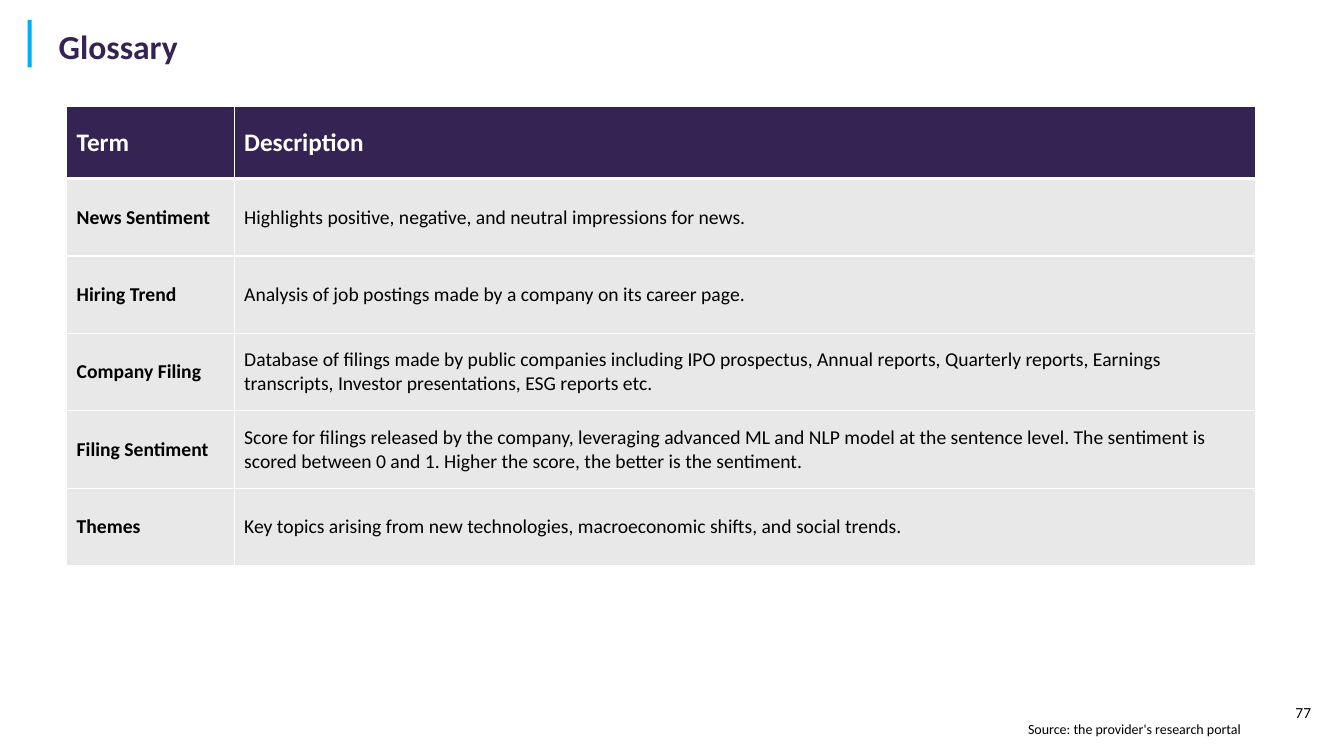
from dataclasses import dataclass

from lxml.etree import SubElement
from pptx import Presentation
from pptx.dml.color import RGBColor as RGB
from pptx.enum.shapes import MSO_SHAPE as Shape
from pptx.enum.text import MSO_ANCHOR as Anchor, MSO_AUTO_SIZE as Fit, PP_ALIGN as Align
from pptx.oxml.ns import qn
from pptx.util import Cm, Pt

TITLE = "Glossary"
HEAD = ("Term", "Description")
TERMS = [
    ("News Sentiment", "Highlights positive, negative, and neutral impressions for news."),
    ("Hiring Trend", "Analysis of job postings made by a company on its career page."),
    ("Company Filing",
     "Database of filings made by public companies including IPO prospectus, Annual reports, "
     "Quarterly reports, Earnings transcripts, Investor presentations, ESG reports etc."),
    ("Filing Sentiment",
     "Score for filings released by the company, leveraging advanced ML and NLP model at the "
     "sentence level. The sentiment is scored between 0 and 1. Higher the score, the better "
     "is the sentiment."),
    ("Themes",
     "Key topics arising from new technologies, macroeconomic shifts, and social trends."),
]
SOURCE = "Source: the provider's research portal"
PAGE = "77"


@dataclass(frozen=True)
class Theme:
    font: str = "Calibri"
    dark: str = "352354"
    accent: str = "00B0F0"
    band: str = "E8E8E9"
    white: str = "FFFFFF"
    black: str = "000000"
    title: int = 24
    head: int = 18
    body: int = 14
    page: int = 11
    source: int = 10
    rule: int = 1
    thick: int = 3


T = Theme()
COLS = (4.22, 25.75)
HEAD_H, ROW_H = 1.81, 1.95


def write(frame, text, size, color, bold=False, align=Align.LEFT):
    frame.text = text
    para = frame.paragraphs[0]
    para.alignment = align
    font = para.runs[0].font
    font.name, font.size, font.bold = T.font, Pt(size), bold
    font.color.rgb = RGB.from_string(color)


def paint(shape, color):
    shape.fill.solid()
    shape.fill.fore_color.rgb = RGB.from_string(color)


def edge(cell, widths):
    """Draw white borders; widths are points for left, right, top, bottom."""
    props = cell._tc.get_or_add_tcPr()
    for i, (side, width) in enumerate(zip("LRTB", widths)):
        line = SubElement(props, qn(f"a:ln{side}"), w=str(Pt(width)))
        fill = SubElement(line, qn("a:solidFill"))
        SubElement(fill, qn("a:srgbClr"), val=T.white)
        props.insert(i, line)


def add_title(slide):
    title = slide.shapes.title
    title.left, title.top, title.width, title.height = Cm(0.69), Cm(0.61), Cm(31.19), Cm(1.1)
    frame = title.text_frame
    write(frame, TITLE, T.title, T.dark, True)
    frame.auto_size = Fit.NONE
    frame.vertical_anchor = Anchor.MIDDLE
    frame.margin_left, frame.margin_right = Cm(0.79), Cm(0.2)
    frame.margin_top = frame.margin_bottom = Cm(0.13)
    frame.paragraphs[0].space_before = Pt(0)
    frame.paragraphs[0].line_spacing = 1.0


def add_bar(slide):
    bar = slide.shapes.add_shape(Shape.RECTANGLE, Cm(0.7), Cm(0.5), Cm(0.1), Cm(1.2))
    bar.shadow.inherit = False
    paint(bar, T.accent)
    bar.line.fill.background()


def add_note(slide, box, text, size, align, right=0.25):
    frame = slide.shapes.add_textbox(*map(Cm, box)).text_frame
    frame.word_wrap = True
    frame.margin_right = Cm(right)
    write(frame, text, size, T.black, align=align)


def add_terms(slide):
    rows = [HEAD, *TERMS]
    heights = [HEAD_H] + [ROW_H] * len(TERMS)
    table = slide.shapes.add_table(len(rows), len(COLS), Cm(1.68), Cm(2.69),
                                   Cm(sum(COLS)), Cm(sum(heights))).table
    for col, width in zip(table.columns, COLS):
        col.width = Cm(width)
    for r, (row, height) in enumerate(zip(rows, heights)):
        table.rows[r].height = Cm(height)
        top = T.thick if r == 1 else T.rule
        bottom = T.thick if r == 0 else T.rule
        size, color, fill = ((T.head, T.white, T.dark) if r == 0
                             else (T.body, T.black, T.band))
        for c, text in enumerate(row):
            cell = table.cell(r, c)
            write(cell.text_frame, text, size, color, r == 0 or c == 0)
            cell.vertical_anchor = Anchor.MIDDLE
            paint(cell, fill)
            edge(cell, (T.rule, T.rule, top, bottom))


def main():
    deck = Presentation()
    deck.slide_width, deck.slide_height = Cm(33.87), Cm(19.05)
    slide = deck.slides.add_slide(deck.slide_layouts[5])
    add_note(slide, (31.83, 17.6, 2.03, 0.74), PAGE, T.page, Align.CENTER)
    add_bar(slide)
    add_note(slide, (0.81, 18.03, 31.19, 0.69), SOURCE, T.source, Align.RIGHT, 0.73)
    add_title(slide)
    add_terms(slide)
    deck.save("out.pptx")


if __name__ == "__main__":
    main()
